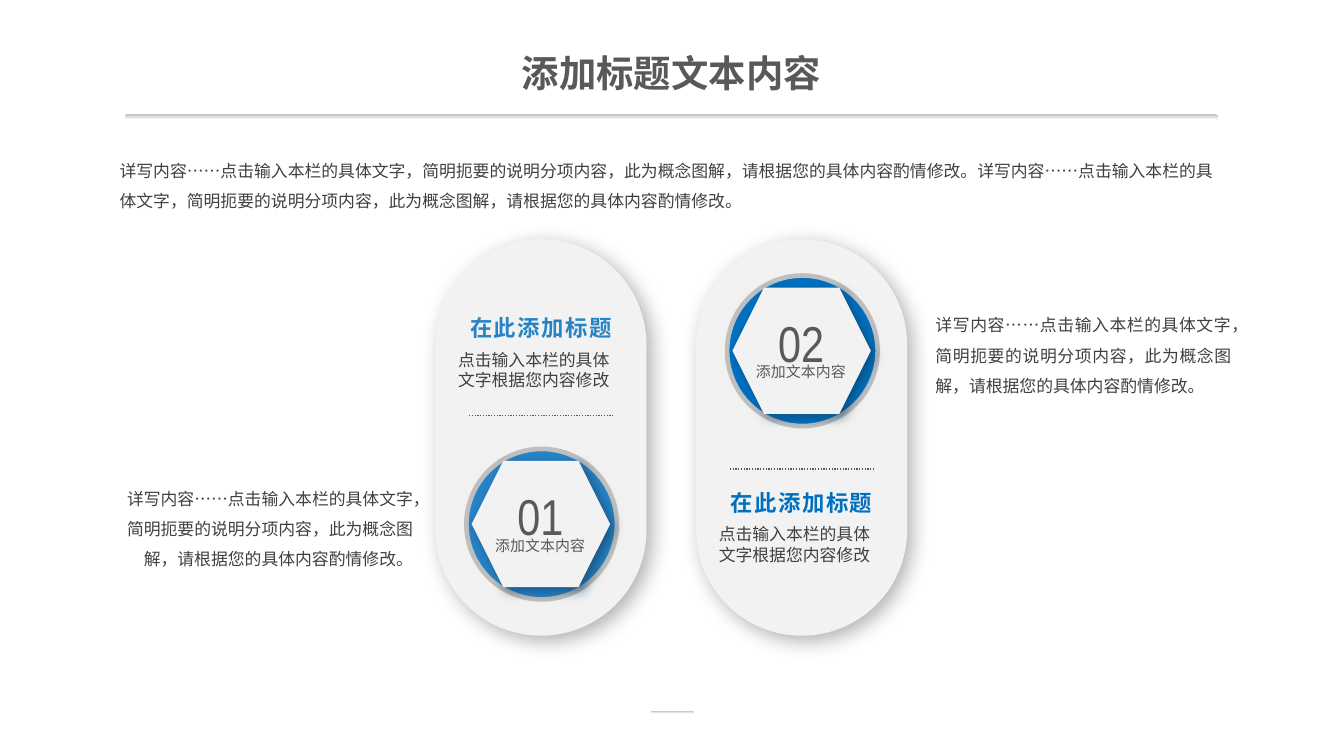
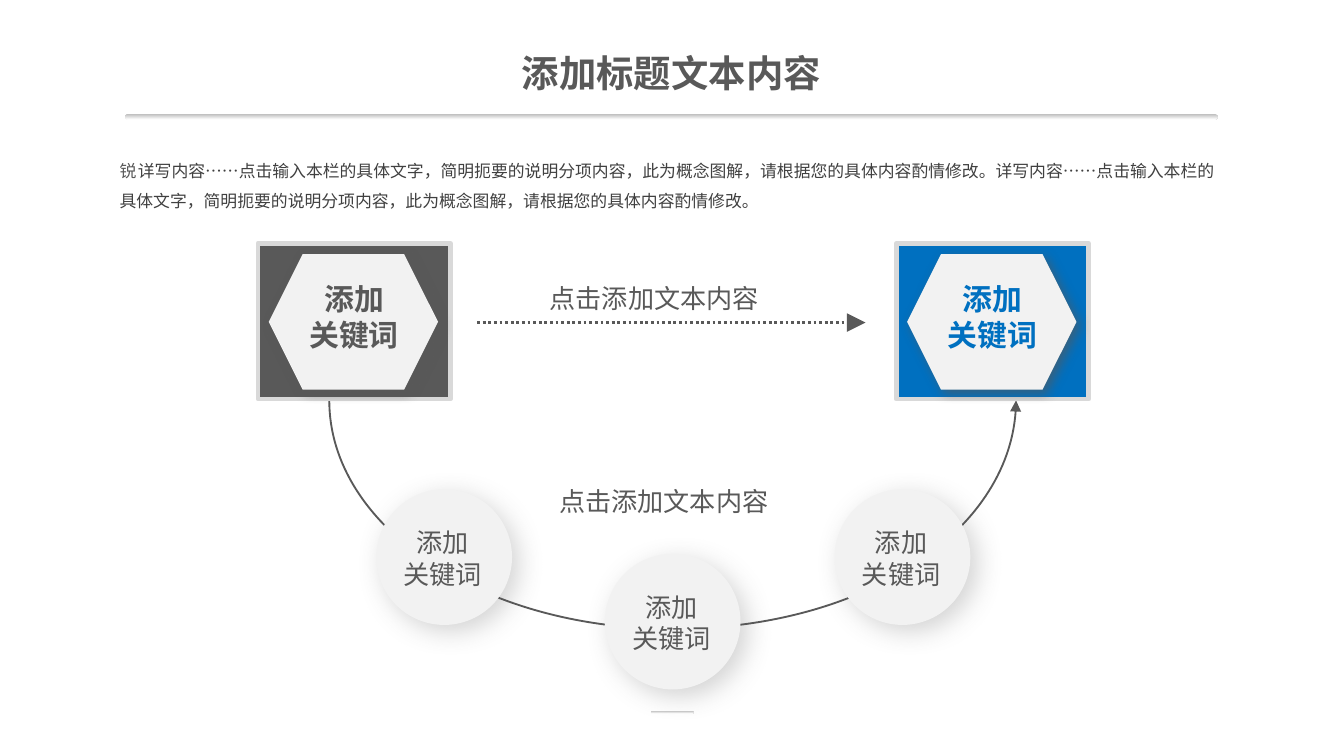
from dataclasses import dataclass, replace

from lxml.etree import SubElement
from pptx import Presentation
from pptx.dml.color import RGBColor
from pptx.enum.dml import MSO_LINE
from pptx.enum.shapes import MSO_CONNECTOR, MSO_SHAPE as SHAPE
from pptx.enum.text import MSO_AUTO_SIZE as AUTO_SIZE, PP_ALIGN as ALIGN
from pptx.oxml.ns import qn
from pptx.util import Inches, Pt


@dataclass(frozen=True)
class Type:
    """Font, size and colour of a span of text."""
    name: str
    size: float
    color: str
    bold: bool = False
    spacing: int = 0


@dataclass(frozen=True)
class Shadow:
    """Colour, opacity in percent, blur and distance in points."""
    color: str
    opacity: int
    blur: int
    distance: int


@dataclass(frozen=True)
class Theme:
    """Colours, type sizes and shadows of the deck."""
    gray = "595959"
    light_blue = "2683C6"
    blue = "0070C0"
    panel = "F2F2F2"
    silver = "BFBFBF"
    frame = "D9D9D9"
    white = "FFFFFF"
    east_asian = "Noto Sans CJK SC"
    title = Type("Arial", 20, gray, bold=True)
    body = Type("Noto Sans CJK SC", 9, "404040")
    lead = Type("Arial", 9, gray, spacing=80)
    heading = Type("Arial", 12, blue, bold=True, spacing=80)
    number = Type("Arial Narrow", 27, gray)
    caption = Type("DejaVu Sans", 8, gray)
    keyword = Type("Arial", 16, gray, bold=True)
    label = Type("Arial", 14, gray)
    pill_shadow = Shadow("000000", 29, 11, 4)
    badge_shadow = Shadow("134163", 64, 6, 3)
    card_shadow = Shadow(gray, 64, 6, 3)
    node_shadow = Shadow(gray, 25, 14, 5)


@dataclass(frozen=True)
class Box:
    """A rectangle in inches."""
    left: float
    top: float
    width: float
    height: float

    def inner(self, left, top, width, height):
        """Return a box placed relative to this one."""
        return Box(self.left + left, self.top + top, width, height)

    def lengths(self):
        """Return the four lengths for python-pptx."""
        return [Inches(value) for value in (self.left, self.top, self.width, self.height)]


THEME = Theme()
TIGHT = (0.07, 0.04)
ROOMY = (0.1, 0.05)
DETAIL = "详写内容……点击输入本栏的具体文字，简明扼要的说明分项内容，此为概念图解，请根据您的具体内容酌情修改。"
KEYWORD = ("添加", "关键词")


def apply(target, formats):
    """Set attributes from a dict of format values."""
    for name, value in formats.items():
        setattr(target, name, value)


def rgb(color):
    """Return a colour from its hex code."""
    return RGBColor.from_string(color)


def add_span(para, text, style):
    """Add a run of text in a style."""
    span = para.add_run()
    span.text = text
    apply(span.font, {"name": style.name, "size": Pt(style.size), "bold": style.bold})
    span.font.color.rgb = rgb(style.color)
    props = span.font._element
    if style.spacing:
        props.set("spc", str(style.spacing))
    east = SubElement(props, qn("a:ea"))
    east.set("typeface", THEME.east_asian)


def write_spans(page, box, paras, align=ALIGN.LEFT, spacing=None, inset=TIGHT):
    """Add a text box whose paragraphs are lists of text and style."""
    frame = page.shapes.add_textbox(*box.lengths()).text_frame
    side, edge = (Inches(value) for value in inset)
    apply(frame, {"word_wrap": True, "auto_size": AUTO_SIZE.SHAPE_TO_FIT_TEXT,
                  "margin_left": side, "margin_right": side,
                  "margin_top": edge, "margin_bottom": edge})
    for index, spans in enumerate(paras):
        para = frame.add_paragraph() if index else frame.paragraphs[0]
        apply(para, {"alignment": align, "line_spacing": spacing})
        for text, style in spans:
            add_span(para, text, style)


def write(page, box, style, *lines, **layout):
    """Add a text box with one style and one paragraph a line."""
    write_spans(page, box, [[(line, style)] for line in lines], **layout)


def cast_shadow(shape, shadow):
    """Give a shape an outer shadow towards the lower right."""
    effects = shape._element.spPr.find(qn("a:effectLst"))
    outer = SubElement(effects, qn("a:outerShdw"), blurRad=str(Pt(shadow.blur)),
                       dist=str(Pt(shadow.distance)), dir="2700000",
                       algn="tl", rotWithShape="0")
    color = SubElement(outer, qn("a:srgbClr"), val=shadow.color)
    SubElement(color, qn("a:alpha"), val=str(shadow.opacity * 1000))


def draw(page, kind, box, fill, line=None, shadow=None, corner=None):
    """Add a preset shape; a pair of fill colours makes a gradient."""
    shape = page.shapes.add_shape(kind, *box.lengths())
    shape.shadow.inherit = False
    if isinstance(fill, tuple):
        shape.fill.gradient()
        shape.fill.gradient_angle = 270
        for stop, color in zip(shape.fill.gradient_stops, fill):
            stop.color.rgb = rgb(color)
    else:
        shape.fill.solid()
        shape.fill.fore_color.rgb = rgb(fill)
    if line:
        stroke(shape, line, 2.5)
    else:
        shape.line.fill.background()
    if shadow:
        cast_shadow(shape, shadow)
    if corner is not None:
        shape.adjustments[0] = corner
    return shape


def stroke(shape, color, width, dash=None, arrow=None, size="med"):
    """Set the line of a shape, with an arrow at headEnd or tailEnd."""
    shape.line.color.rgb = rgb(color)
    apply(shape.line, {"width": Pt(width), "dash_style": dash})
    if arrow:
        SubElement(shape._element.spPr.find(qn("a:ln")), qn("a:" + arrow),
                   type="triangle", w=size, len=size)


def dotted_line(page, left, right, top, width, **ending):
    """Add a horizontal dotted line."""
    ends = [Inches(value) for value in (left, top, right, top)]
    line = page.shapes.add_connector(MSO_CONNECTOR.STRAIGHT, *ends)
    stroke(line, THEME.gray, width, MSO_LINE.ROUND_DOT, **ending)
    SubElement(line._element.spPr, qn("a:effectLst"))


def new_page(deck):
    """Add a slide with the shared title and rules."""
    page = deck.slides.add_slide(deck.slide_layouts[6])
    for rule in (Box(0.93, 0.85, 8.13, 0.04), Box(4.84, 5.29, 0.32, 0.02)):
        draw(page, SHAPE.ROUNDED_RECTANGLE, rule, (THEME.silver, THEME.white), corner=0.5)
    write(page, Box(3.07, 0.33, 3.85, 0.41), THEME.title, "添加标题文本内容",
          align=ALIGN.CENTER)
    return page


def intro(page, *lead):
    """Add the opening paragraph after optional lead spans."""
    write_spans(page, Box(0.82, 1.08, 8.34, 0.53),
                [[*lead, (DETAIL * 2, THEME.body)]], spacing=1.5)


def badge(page, box, number, color):
    """Add a numbered hexagon on a ringed disc."""
    halo = draw(page, SHAPE.OVAL, box, (THEME.white, THEME.silver))
    effects = halo._element.spPr.find(qn("a:effectLst"))
    SubElement(effects, qn("a:softEdge"), rad=str(Inches(0.35)))
    draw(page, SHAPE.OVAL, box.inner(0.21, 0.21, 1.12, 1.12), color, THEME.silver)
    draw(page, SHAPE.HEXAGON, box.inner(0.25, 0.3, 1.03, 0.94), THEME.panel,
         shadow=THEME.badge_shadow)
    centered = {"align": ALIGN.CENTER, "inset": ROOMY}
    write(page, box.inner(0.24, 0.43, 1.04, 0.56), THEME.number, number, **centered)
    write(page, box.inner(0.24, 0.81, 1.04, 0.37), THEME.caption, "添加文本内容", **centered)


def pill(page, box, number, color, badge_top, heading_top, rule_top):
    """Add a tall rounded panel with badge, heading and rule."""
    draw(page, SHAPE.ROUNDED_RECTANGLE, box, THEME.panel,
         shadow=THEME.pill_shadow, corner=0.5)
    badge(page, box.inner(0.02, badge_top, 1.54, 1.54), number, color)
    write(page, box.inner(0.07, heading_top + 0.26, 1.44, 0.4), THEME.body,
          "点击输入本栏的具体文字根据您内容修改", inset=ROOMY)
    write(page, box.inner(0.01, heading_top, 1.55, 0.3), replace(THEME.heading, color=color),
          "在此添加标题", align=ALIGN.CENTER, inset=ROOMY)
    dotted_line(page, box.left + 0.25, box.left + 1.33, box.top + rule_top, 0.75)


def pills_page(deck):
    """Build the slide with two panels and side notes."""
    page = new_page(deck)
    intro(page)
    pill(page, Box(3.24, 1.78, 1.57, 2.95), "01", THEME.light_blue, 1.35, 0.51, 1.31)
    pill(page, Box(5.18, 1.78, 1.57, 2.95), "02", THEME.blue, 0.06, 1.81, 1.71)
    for left, top, align in ((6.89, 2.23, ALIGN.JUSTIFY), (0.8, 3.52, ALIGN.RIGHT)):
        write(page, Box(left, top, 2.34, 0.76), THEME.body, DETAIL, align=align, spacing=1.5)


def bowl_arrow(page, box):
    """Add the lower half of an ellipse, right to left, arrow at its start."""
    steps = ((1, 0), (1, 0.55), (0.78, 1), (0.5, 1), (0.22, 1), (0, 0.55), (0, 0))
    points = [(Inches(box.left + x * box.width), Inches(box.top + y * box.height))
              for x, y in steps]
    builder = page.shapes.build_freeform(*points[0])
    builder.add_line_segments(points[1:], close=False)
    curve = builder.convert_to_shape()
    outline = curve._element.find(".//" + qn("a:path"))
    segments = outline.findall(qn("a:lnTo"))
    for start in (0, 3):
        bezier = SubElement(outline, qn("a:cubicBezTo"))
        for segment in segments[start:start + 3]:
            bezier.append(segment[0])
            outline.remove(segment)
    curve.shadow.inherit = False
    curve.fill.background()
    stroke(curve, THEME.gray, 1, arrow="headEnd")


def keyword_card(page, box, color):
    """Add a framed rectangle with a hexagon and keyword."""
    draw(page, SHAPE.ROUNDED_RECTANGLE, box, color, THEME.frame, corner=0)
    draw(page, SHAPE.HEXAGON, box.inner(0.08, 0.08, 1.26, 1.01), THEME.panel,
         shadow=THEME.card_shadow)
    write(page, box.inner(0.22, 0.24, 0.99, 0.61), replace(THEME.keyword, color=color),
          *KEYWORD, align=ALIGN.CENTER)


def keyword_node(page, box):
    """Add a round node with a keyword."""
    draw(page, SHAPE.OVAL, box, THEME.panel, shadow=THEME.node_shadow)
    write(page, box.inner(0.09, 0.24, 0.81, 0.55), THEME.label, *KEYWORD, align=ALIGN.CENTER)


def cycle_page(deck):
    """Build the slide with two cards joined by a curve of nodes."""
    page = new_page(deck)
    bowl_arrow(page, Box(2.45, 2.98, 5.11, 1.7))
    for left, color in ((1.92, THEME.gray), (6.67, THEME.blue)):
        keyword_card(page, Box(left, 1.81, 1.43, 1.16), color)
    dotted_line(page, 3.55, 6.44, 2.4, 1.5, arrow="tailEnd", size="lg")
    for left, top in ((2.8, 3.64), (6.21, 3.64), (4.5, 4.12)):
        keyword_node(page, Box(left, top, 1.01, 1.01))
    for box in (Box(4.02, 2.06, 1.96, 0.31), Box(4.09, 3.57, 1.83, 0.31)):
        write(page, box, THEME.label, "点击添加文本内容", align=ALIGN.JUSTIFY)
    intro(page, ("锐", THEME.lead))


def main():
    """Build and save the deck."""
    deck = Presentation()
    width = Inches(10)
    apply(deck, {"slide_width": width, "slide_height": width * 9 // 16})
    pills_page(deck)
    cycle_page(deck)
    deck.save("out.pptx")


if __name__ == "__main__":
    main()
